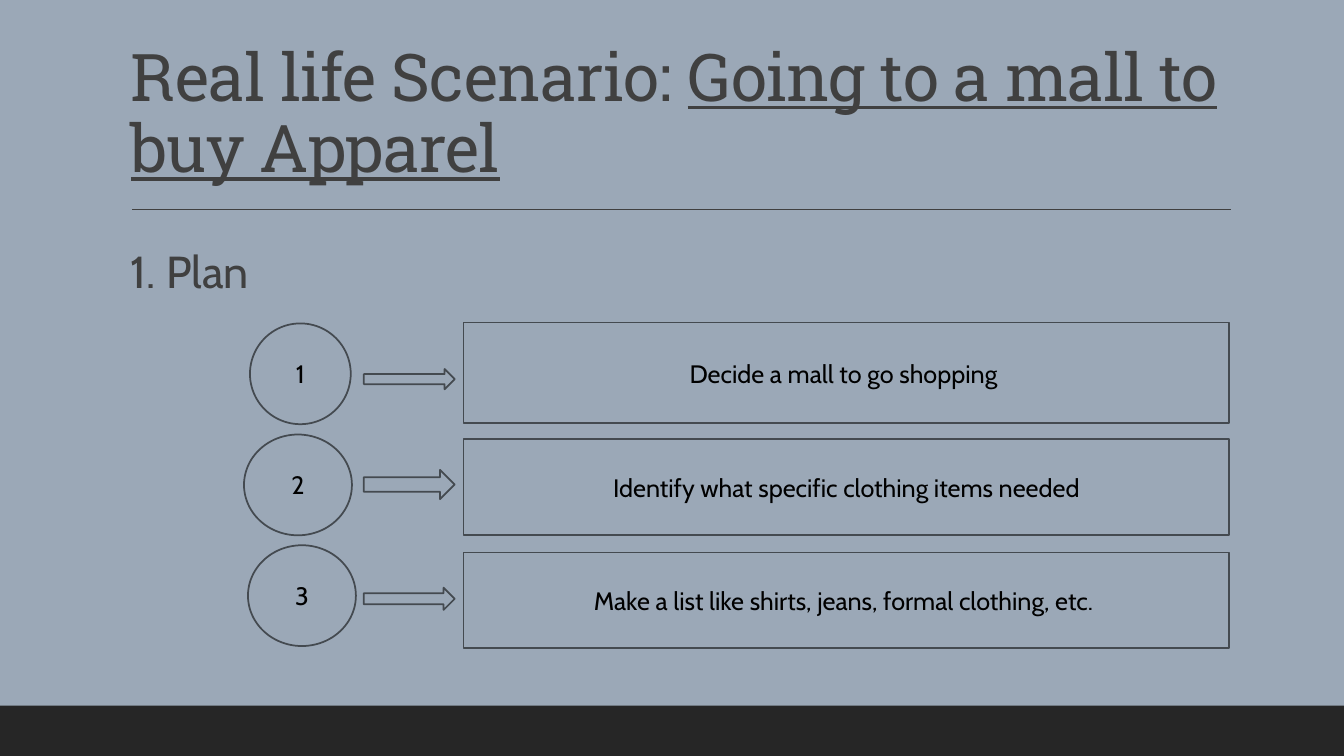
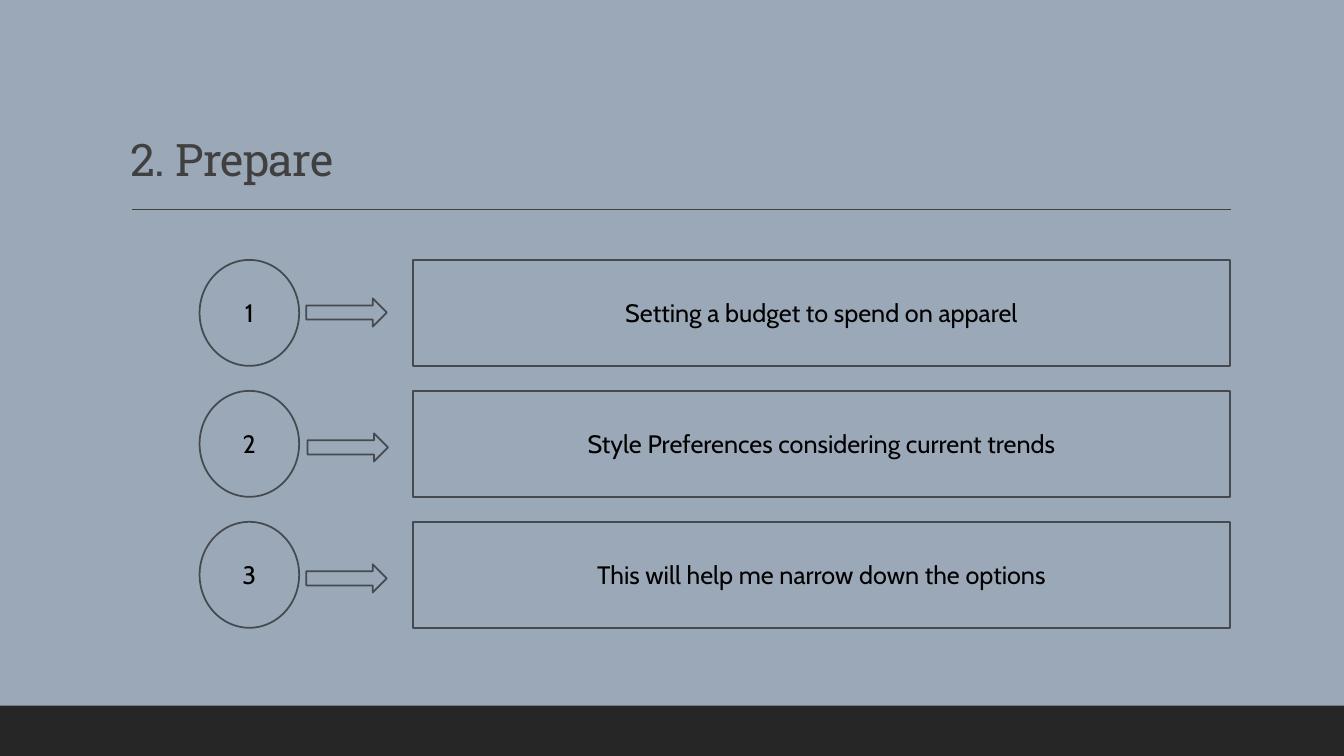
from lxml.etree import SubElement
from pptx import Presentation
from pptx.dml.color import RGBColor
from pptx.enum.shapes import MSO_CONNECTOR, MSO_SHAPE
from pptx.enum.text import MSO_ANCHOR, PP_ALIGN
from pptx.oxml.ns import qn
from pptx.util import Cm, Pt

BACKGROUND, BAND, HEADING, OUTLINE, BLACK = "9BA8B7", "262626", "404040", "444A50", "000000"
HEADING_FONT, BODY_FONT = "Roboto Slab", "Cabin"
MARGIN, CONTENT_WIDTH = 3.05, 27.94
RIGHT_EDGE = MARGIN + CONTENT_WIDTH

TITLE_FRAME = {"word_wrap": True, "vertical_anchor": MSO_ANCHOR.BOTTOM}
BODY_FRAME = {"word_wrap": True, "vertical_anchor": MSO_ANCHOR.TOP}
STEP_FRAME = {"word_wrap": True, "vertical_anchor": MSO_ANCHOR.MIDDLE}
TITLE_PARAGRAPH = {"line_spacing": 0.9}
BODY_PARAGRAPH = {"line_spacing": 1.1, "space_before": Pt(12), "space_after": Pt(2)}
STEP_PARAGRAPH = {"alignment": PP_ALIGN.CENTER}

# Each step: text, then (left, top, width, height) in cm of circle, arrow and box
PLAN_STEPS = [
    ("Decide a mall to go shopping ",
     (6.3, 8.15, 2.54, 2.54), (9.17, 9.3, 2.29, 0.51), (11.68, 8.13, 19.3, 2.54)),
    ("Identify what specific clothing items needed",
     (6.15, 10.95, 2.72, 2.54), (9.17, 11.84, 2.29, 0.74), (11.68, 11.07, 19.3, 2.41)),
    ("Make a list like shirts, jeans, formal clothing, etc. ",
     (6.25, 13.74, 2.72, 2.54), (9.17, 14.81, 2.29, 0.56), (11.68, 13.92, 19.3, 2.41)),
]
PREPARE_TEXTS = [
    "Setting a budget to spend on apparel",
    "Style Preferences considering current trends",
    "This will help me narrow down the options",
]
PREPARE_ARROWS = [(7.72, 7.52), (7.75, 10.92), (7.72, 14.22)]
PREPARE_TOP, PREPARE_PITCH, PREPARE_HEIGHT = 6.55, 3.3, 2.67


def color(hex_value):
    return RGBColor.from_string(hex_value)


def lengths(*values):
    return [Cm(value) for value in values]


def apply_format(target, values):
    for name, value in values.items():
        setattr(target, name, value)


def write_text(shape, runs, frame_format, paragraph_format, size, font, text_color):
    """Fill one paragraph with (text, underlined) runs and return the paragraph."""
    apply_format(shape.text_frame, frame_format)
    paragraph = shape.text_frame.paragraphs[0]
    apply_format(paragraph, paragraph_format)
    for text, underlined in runs:
        run = paragraph.add_run()
        run.text = text
        apply_format(run.font, {"size": Pt(size), "name": font, "underline": underlined})
        run.font.color.rgb = color(text_color)
    return paragraph


def add_filled_shape(slide, kind, place, fill, outline=None):
    shape = slide.shapes.add_shape(kind, *lengths(*place))
    shape.shadow.inherit = False
    shape.fill.solid()
    shape.fill.fore_color.rgb = color(fill)
    if outline:
        shape.line.color.rgb = color(outline)
        shape.line.width = Pt(1.25)
    else:
        shape.line.fill.background()
    return shape


def add_rule(slide):
    rule = slide.shapes.add_connector(
        MSO_CONNECTOR.STRAIGHT, *lengths(3.33, 5.28, 31.01, 5.28))
    rule.line.color.rgb = color(HEADING)
    rule.line.width = Pt(1)
    SubElement(rule.line._get_or_add_ln().getparent(), qn("a:effectLst"))


def add_title(slide, runs, size):
    box = slide.shapes.add_textbox(*lengths(MARGIN, 0.79, CONTENT_WIDTH, 4.04))
    paragraph = write_text(box, runs, TITLE_FRAME, TITLE_PARAGRAPH,
                           size, HEADING_FONT, HEADING)
    for run in paragraph.runs:
        run.font._element.set("spc", "-50")


def add_body(slide, text):
    box = slide.shapes.add_textbox(*lengths(MARGIN, 5.87, CONTENT_WIDTH, 10.44))
    write_text(box, [(text, False)], BODY_FRAME, BODY_PARAGRAPH, 32, BODY_FONT, HEADING)


def add_steps(slide, steps):
    """Draw numbered circles, each with an arrow to its text box."""
    for number, (text, circle, arrow, box) in enumerate(steps, start=1):
        add_filled_shape(slide, MSO_SHAPE.RIGHT_ARROW, arrow, BACKGROUND, OUTLINE)
        for kind, place, label in ((MSO_SHAPE.OVAL, circle, str(number)),
                                   (MSO_SHAPE.RECTANGLE, box, text)):
            shape = add_filled_shape(slide, kind, place, BACKGROUND, OUTLINE)
            write_text(shape, [(label, False)], STEP_FRAME, STEP_PARAGRAPH,
                       18, BODY_FONT, BLACK)


def prepare_steps():
    """Place the second slide's steps on an even grid."""
    steps = []
    for index, (text, arrow) in enumerate(zip(PREPARE_TEXTS, PREPARE_ARROWS)):
        top = PREPARE_TOP + index * PREPARE_PITCH
        steps.append((text, (5.03, top, 2.51, PREPARE_HEIGHT), (*arrow, 2.03, 0.71),
                      (10.41, top, RIGHT_EDGE - 10.41, PREPARE_HEIGHT)))
    return steps


def add_slide(presentation, title_runs, title_size):
    slide = presentation.slides.add_slide(presentation.slide_layouts[6])
    add_filled_shape(slide, MSO_SHAPE.RECTANGLE, (0, 17.78, 33.87, 1.27), BAND)
    add_rule(slide)
    add_title(slide, title_runs, title_size)
    return slide


def main():
    presentation = Presentation()
    apply_format(presentation, {"slide_width": Cm(33.87), "slide_height": Cm(19.05)})
    background = presentation.slide_master.background.fill
    background.solid()
    background.fore_color.rgb = color(BACKGROUND)

    plan = add_slide(presentation, [("Real life Scenario: ", False),
                                    ("Going to a mall to buy Apparel", True)], 47)
    add_body(plan, "1. Plan")
    add_steps(plan, PLAN_STEPS)

    prepare = add_slide(presentation, [("2. Prepare", False)], 32)
    add_steps(prepare, prepare_steps())
    presentation.save("out.pptx")


if __name__ == "__main__":
    main()
